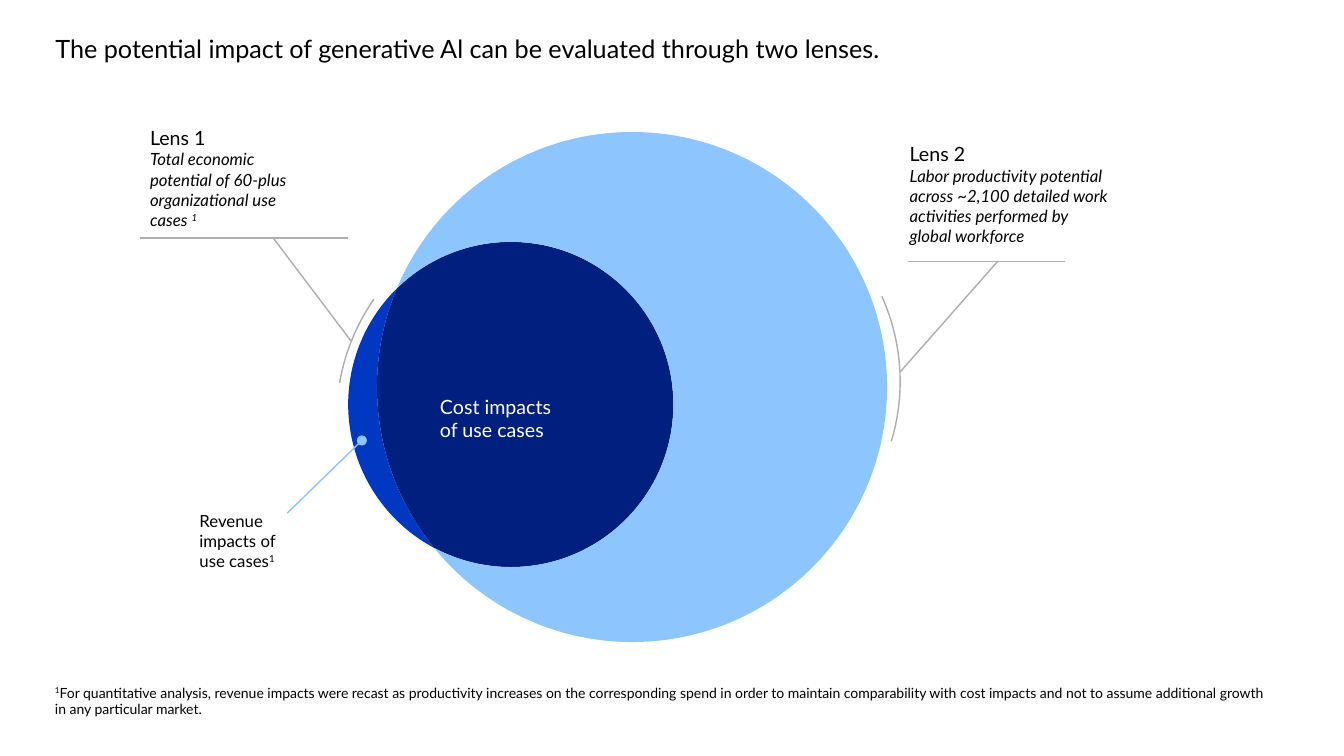
from math import acos, atan2, ceil, cos, degrees, floor, hypot, radians, sin, tan

from lxml import etree
from pptx import Presentation
from pptx import util as u
from pptx.dml.color import RGBColor
from pptx.enum import shapes, text

# Square grid: 133.33 columns by 75 rows on the slide
CELL = u.Inches(0.1)
COLS, ROWS = 133.33, 75
BLACK, WHITE, GREY = "000000", "FFFFFF", "AEAEAE"
NAVY, SKY, BLUE = "001F7E", "8DC6FF", "0138C2"
BIG = (62.7, 38.4, 25.3)     # centre column, centre row, radius
SMALL = (50.67, 40.13, 16.13)
DML = "{http://schemas.openxmlformats.org/drawingml/2006/main}"


def grid(*cells):
    return [round(c * CELL) for c in cells]


def paint(fmt, color):
    fmt.solid()
    fmt.fore_color.rgb = RGBColor.from_string(color)


def write(frame, lines, color=BLACK, wrap=False):
    """Fill a frame with (words, format) lines; ^ switches superscript."""
    look = {"word_wrap": wrap, "vertical_anchor": text.MSO_ANCHOR.TOP,
            "auto_size": text.MSO_AUTO_SIZE.SHAPE_TO_FIT_TEXT}
    for key, val in look.items():
        setattr(frame, key, val)
    for i, (words, form) in enumerate(lines):
        para = frame.add_paragraph() if i else frame.paragraphs[0]
        para.alignment = text.PP_ALIGN.LEFT
        for n, part in enumerate(words.split("^")):
            if not part:
                continue
            run = para.add_run()
            run.text = part
            for key, val in {"name": "Lato", **form}.items():
                setattr(run.font, key, val)
            paint(run.font.fill, color)
            if n % 2:
                run._r.get_or_add_rPr().set("baseline", "30000")


def style(size, **more):
    return {"size": u.Pt(size), **more}


def label(slide, spot, lines, **opts):
    box = slide.shapes.add_textbox(*grid(*spot))
    write(box.text_frame, lines, **opts)


def line(slide, start, end, color=GREY):
    link = slide.shapes.add_connector(
        shapes.MSO_CONNECTOR.STRAIGHT, *grid(*start, *end))
    paint(link.line.fill, color)
    link.line.width = u.Pt(1)
    etree.SubElement(link._element.spPr, DML + "effectLst")


def bracket(slide, spot, turn, ends):
    arc = slide.shapes.add_shape(shapes.MSO_SHAPE.ARC, *grid(*spot))
    arc.shadow.inherit = False
    arc.rotation = turn
    for i, end in enumerate(ends):
        arc.adjustments[i] = end
    arc.fill.background()
    paint(arc.line.fill, GREY)
    arc.line.width = u.Pt(1)


def dot(slide, spot, color):
    mark = slide.shapes.add_shape(shapes.MSO_SHAPE.OVAL, *grid(*spot))
    mark.shadow.inherit = False
    paint(mark.fill, color)
    mark.line.fill.background()


def sweep(circle, start, stop):
    """Curves (four points each) along a circle, cut at its quarter turns."""
    x, y, r = circle
    low, high = sorted((start, stop))
    cuts = [low, *range(ceil(low / 90) * 90, floor(high / 90) * 90 + 1, 90), high]
    if start > stop:
        cuts.reverse()
    curves = []
    for s, t in zip(map(radians, cuts), map(radians, cuts[1:])):
        k = 4 / 3 * tan((t - s) / 4)
        curves.append([grid(x + r * (cos(v) - q * sin(v)), y + r * (sin(v) + q * cos(v)))
                       for v, q in ((s, 0), (s, k), (t, -k), (t, 0))])
    return curves


def region(slide, curves, color):
    pen = slide.shapes.build_freeform(*curves[0][0], scale=1.0)
    pen.add_line_segments([c[3] for c in curves], close=True)
    form = pen.convert_to_shape()
    # Turn each straight segment into a cubic curve
    for seg, curve in zip(list(form._element.iter(DML + "lnTo")), curves):
        bend = etree.Element(DML + "cubicBezTo")
        for x, y in curve[1:]:
            etree.SubElement(bend, DML + "pt", x=str(x - form.left), y=str(y - form.top))
        seg.getparent().replace(seg, bend)
    form.shadow.inherit = False
    paint(form.fill, color)
    form.line.fill.background()


def venn(slide):
    # Angles at which the two circles cross
    dx, dy = BIG[0] - SMALL[0], BIG[1] - SMALL[1]
    gap, big, small = hypot(dx, dy), BIG[2], SMALL[2]
    axis = degrees(atan2(dy, dx))
    back = axis + 180
    a = degrees(acos((gap**2 + small**2 - big**2) / (2 * gap * small)))
    b = degrees(acos((gap**2 + big**2 - small**2) / (2 * gap * big)))
    top, low = axis - a, axis + a
    region(slide, sweep(SMALL, top, low) + sweep(BIG, back - b, back + b), NAVY)
    region(slide, sweep(BIG, back + b, back + 360 - b) + sweep(SMALL, low, top), SKY)
    region(slide, sweep(SMALL, low, top + 360) + sweep(BIG, back + b, back - b), BLUE)


def lens(slide, spot, name, words):
    lines = [(name, style(14))]
    lines += [(w, style(12, italic=True)) for w in words]
    label(slide, spot, lines)


def main():
    deck = Presentation()
    deck.slide_width, deck.slide_height = grid(COLS, ROWS)
    slide = deck.slides.add_slide(deck.slide_layouts[5])

    # Title
    head = slide.shapes.title
    head.left, head.top, head.width, head.height = grid(4.5, 2.8, 90, 4)
    write(head.text_frame, [(
        "The potential impact of generative Al can be evaluated through two lenses.",
        style(18))])

    # Overlapping circles
    venn(slide)

    # Lens 2, right
    bracket(slide, (48.2, 17.3, 41.1, 41.1), 61, (164.83, 189.44))
    line(slide, (89.3, 36.9), (99, 25.9))
    line(slide, (90.05, 25.93), (105.7, 25.93))
    lens(slide, (89.25, 13.6, 23.1, 11.4), "Lens 2", (
        "Labor productivity potential", "across ~2,100 detailed work",
        "activities performed by", "global workforce"))

    # Lens 1, left
    bracket(slide, (33.4, 20.9, 41.1, 41.1), 265.6, (170.47, 185.6))
    line(slide, (34.8, 33.8), (27.1, 23.6))
    line(slide, (13.9, 23.6), (34.5, 23.6))
    lens(slide, (13.9, 11.97, 17, 11.4), "Lens 1", (
        "Total economic", "potential of 60-plus",
        "organizational use", "cases ^1"))

    # Revenue and cost callouts
    line(slide, (35.9, 43.7), (28.5, 50.9), SKY)
    dot(slide, (35.4, 43.2, 1, 1), SKY)
    label(slide, (18.8, 50.13, 10.2, 7.1),
          [(w, style(12)) for w in ("Revenue", "impacts of", "use cases^1")])

    # Footnote
    label(slide, (4.47, 67.37, 123.2, 4.4), [(
        "^1^For quantitative analysis, revenue impacts were recast as productivity "
        "increases on the corresponding spend in order to maintain comparability "
        "with cost impacts and not to assume additional growth in any particular "
        "market.", style(10))], wrap=True)

    # Name of the overlap
    label(slide, (42.67, 38.66, 13.6, 5.7),
          [(w, style(14)) for w in ("Cost impacts", "of use cases")], color=WHITE)

    deck.save("out.pptx")


if __name__ == "__main__":
    main()
